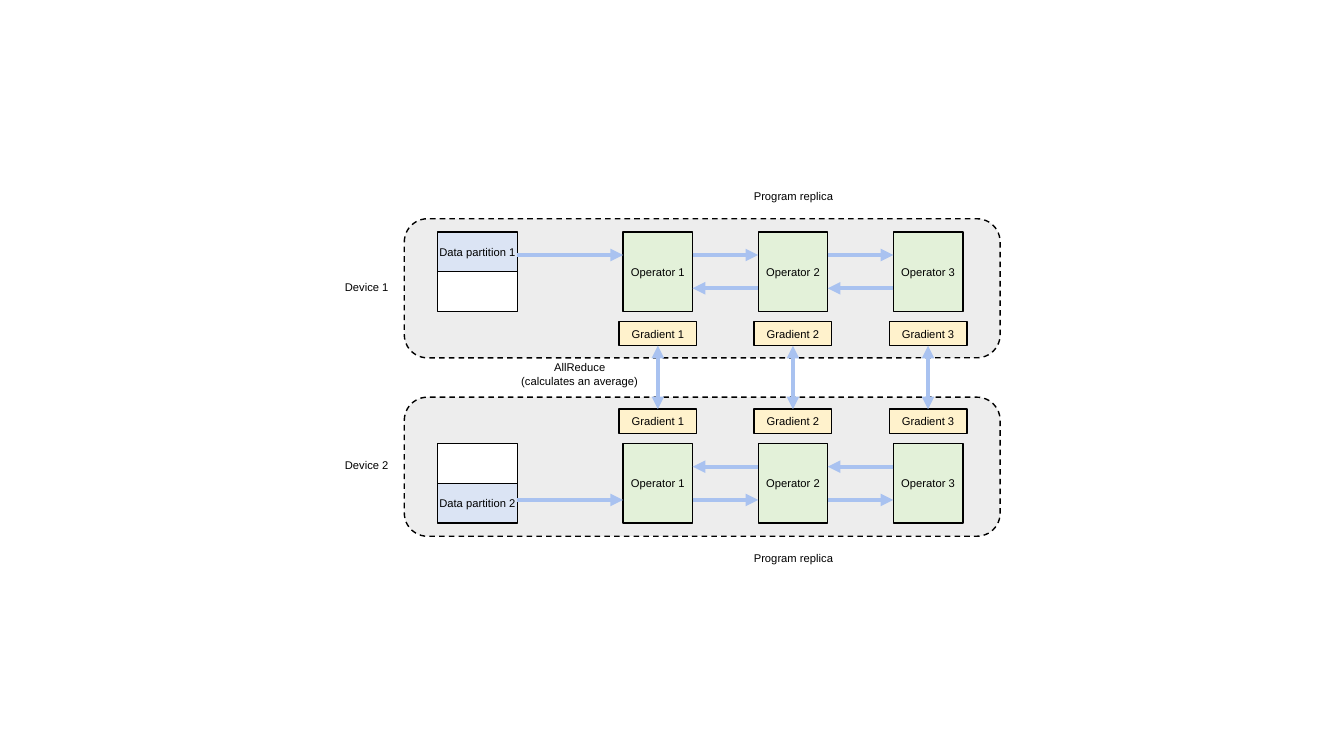
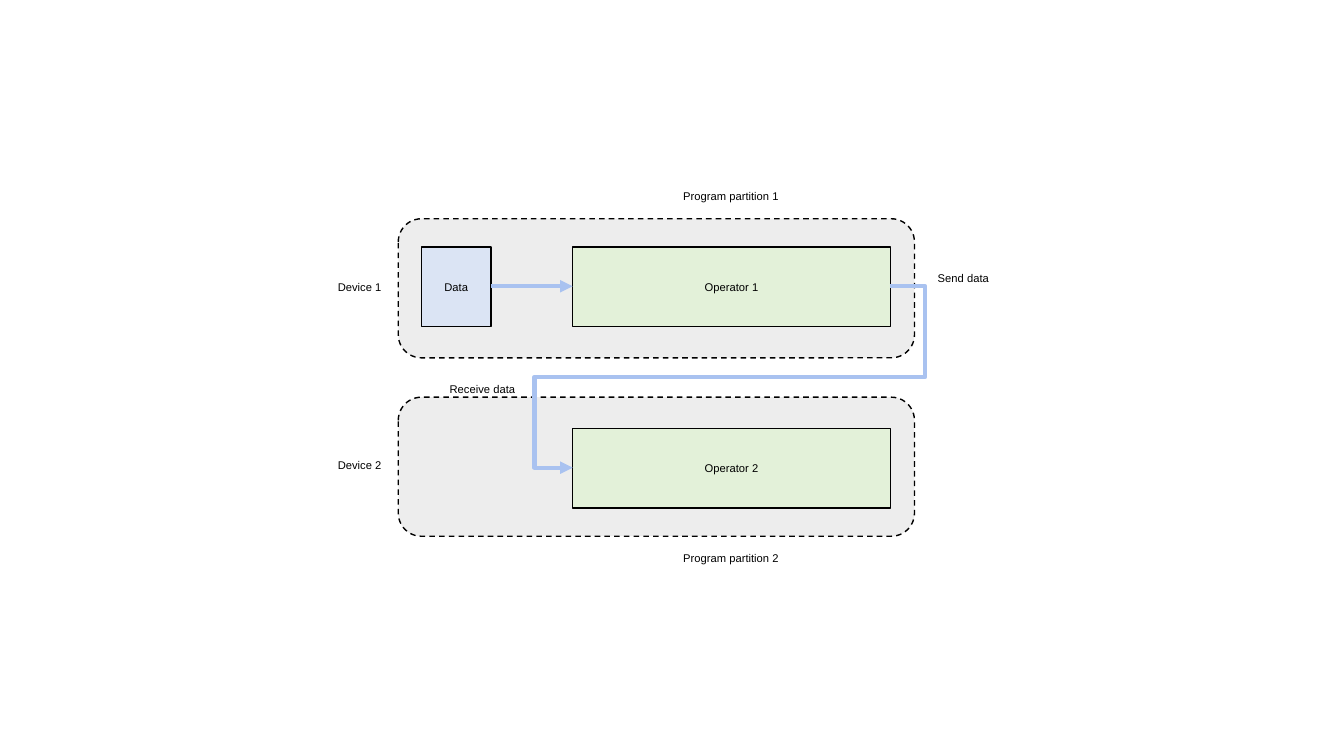
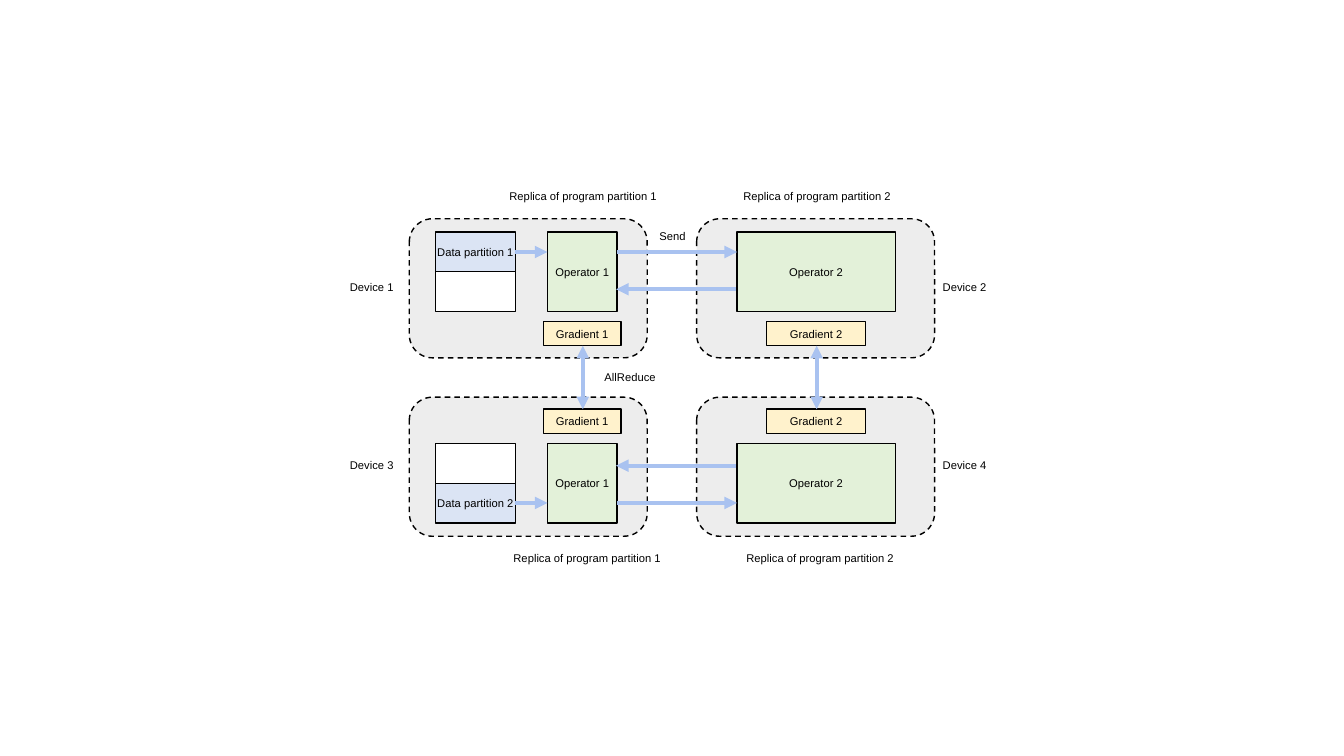
from lxml import etree
from pptx import Presentation
from pptx.dml.color import RGBColor
from pptx.enum.dml import MSO_LINE
from pptx.enum.shapes import MSO_CONNECTOR, MSO_SHAPE
from pptx.enum.text import MSO_ANCHOR, PP_ALIGN
from pptx.oxml.ns import qn
from pptx.util import Inches, Pt

STRAIGHT, ELBOW = MSO_CONNECTOR.STRAIGHT, MSO_CONNECTOR.ELBOW
RECTANGLE, ROUNDED = MSO_SHAPE.RECTANGLE, MSO_SHAPE.ROUNDED_RECTANGLE
LEFT, CENTER = PP_ALIGN.LEFT, PP_ALIGN.CENTER
TOP, MIDDLE = MSO_ANCHOR.TOP, MSO_ANCHOR.MIDDLE

COLORS = {
    "text": "000000", "outline": "000000", "arrow": "A9C2F0", "panel": "EDEDED",
    "operator": "E3F1D9", "data": "DBE4F4", "gradient": "FFF2CC", "empty": "FFFFFF",
}
FONT = {"name": "Arial", "size": Pt(8)}

# The lower devices mirror the upper ones: upper edge + lower edge = MIRROR.
MIRROR = 7.49
PANEL_TOP, PANEL_HEIGHT = 2.17, 1.38
BOX_TOP, BOX_WIDTH, BOX_HEIGHT = 2.3, 0.69, 0.79
GRADIENT_TOP, LINE_HEIGHT = 3.19, 0.24
GRADIENT_BOTTOM = GRADIENT_TOP + LINE_HEIGHT
DATA_WIDTH = 0.79
DEVICE_TOPS = (2.73, 4.5)
CAPTION_TOPS = (1.83, 5.42)


def operator_column(number, left, width=BOX_WIDTH, gradient_width=0.77):
    """Boxes of an operator with its gradient centred below."""
    gradient_left = left + (width - gradient_width) / 2
    operator, gradient = f"Operator {number}", f"Gradient {number}"
    return [
        ("operator", (operator, operator), left, BOX_TOP, width, BOX_HEIGHT),
        ("gradient", (gradient, gradient), gradient_left, GRADIENT_TOP, gradient_width, LINE_HEIGHT),
    ]


def data_column(left):
    """Boxes of a data set of which each device holds one half."""
    half = BOX_HEIGHT / 2
    return [
        ("data", ("Data partition 1", "Data partition 2"), left, BOX_TOP, DATA_WIDTH, half),
        ("empty", ("", ""), left, BOX_TOP + half, DATA_WIDTH, half),
    ]


def label_pair(texts, lefts, tops, width, align):
    return [(text, left, top, width, align) for text, left, top in zip(texts, lefts, tops)]


def device_labels(numbers, left):
    return label_pair([f"Device {number}" for number in numbers], (left, left), DEVICE_TOPS, 0.59, LEFT)


def caption_labels(texts, lefts, width):
    return label_pair(texts, lefts, CAPTION_TOPS, width, CENTER)


OPERATOR_LEFTS = [6.18 + 1.34 * step for step in range(3)]
OPERATOR_GAPS = [(left + BOX_WIDTH, right) for left, right in zip(OPERATOR_LEFTS, OPERATOR_LEFTS[1:])]

# panels: left, width
# boxes: colour, (upper text, lower text), left, top, width, height
# arrows: from x, to x, y; links: x of an arrow between two gradients
# labels: text, left, top, width, alignment
SLIDES = [
    {
        "panels": [(4.01, 5.91)],
        "boxes": data_column(4.34) + [
            box for number, left in enumerate(OPERATOR_LEFTS, 1) for box in operator_column(number, left)
        ],
        "arrows": [(4.34 + DATA_WIDTH, OPERATOR_LEFTS[0], 2.53)]
        + [(start, end, 2.53) for start, end in OPERATOR_GAPS]
        + [(end, start, 2.86) for start, end in OPERATOR_GAPS],
        "links": [left + BOX_WIDTH / 2 for left in OPERATOR_LEFTS],
        "labels": device_labels((1, 2), 3.42)
        + caption_labels(["Program replica"] * 2, (7.28, 7.28), 1.18)
        + [("AllReduce\n(calculates an average)", 5.13, 3.53, 1.24, CENTER)],
    },
    {
        "panels": [(3.95, 5.12)],
        "boxes": [
            ("data", ("Data", None), 4.18, 2.45, BOX_WIDTH, BOX_HEIGHT),
            ("operator", ("Operator 1", "Operator 2"), 5.68, 2.45, 3.15, BOX_HEIGHT),
        ],
        "labels": device_labels((1, 2), 3.35)
        + caption_labels(["Program partition 1", "Program partition 2"], (6.66, 6.66), 1.18)
        + [("Send data", 9.12, 2.64, 0.87, CENTER), ("Receive data", 4.18, 3.74, 1.21, CENTER)],
        "single_arrows": [(4.87, 5.68, 2.84)],
        "transfers": [((8.83, 2.84), (5.68, 4.64), (-0.11, 0.5, 1.12))],
    },
    {
        "panels": [(4.06, 2.36), (6.91, 2.36)],
        "boxes": data_column(4.32) + operator_column(1, 5.43) + operator_column(2, 7.31, 1.57, 0.98),
        "arrows": [(5.11, 5.43, 2.5), (6.12, 7.31, 2.5), (7.3, 6.11, 2.87)],
        "links": [5.78, 8.1],
        "labels": device_labels((1, 3), 3.47) + device_labels((2, 4), 9.35)
        + caption_labels(["Replica of program partition 1"] * 2, (5.02, 5.06), 1.53)
        + caption_labels(["Replica of program partition 2"] * 2, (7.34, 7.37), 1.53)
        + [("AllReduce", 5.83, 3.62, 0.84, CENTER), ("Send", 6.32, 2.23, 0.7, CENTER)],
    },
]


def color(name):
    return RGBColor.from_string(COLORS[name])


def write_text(shape, text, align, anchor):
    frame = shape.text_frame
    frame.text = text
    settings = {
        "word_wrap": True, "vertical_anchor": anchor, "margin_left": 0, "margin_right": 0,
        "margin_top": Inches(0.05), "margin_bottom": Inches(0.05),
    }
    for name, value in settings.items():
        setattr(frame, name, value)
    for paragraph in frame.paragraphs:
        paragraph.alignment = align
        for name, value in FONT.items():
            setattr(paragraph.font, name, value)
        paragraph.font.color.rgb = color("text")


def add_box(slide, kind, text, left, top, width, height, preset=RECTANGLE):
    shape = slide.shapes.add_shape(preset, *map(Inches, (left, top, width, height)))
    shape.shadow.inherit = False
    shape.fill.solid()
    shape.fill.fore_color.rgb = color(kind)
    shape.line.color.rgb = color("outline")
    shape.line.width = Pt(1)
    if text:
        write_text(shape, text, CENTER, MIDDLE)
    return shape


def add_label(slide, text, left, top, width, align):
    height = LINE_HEIGHT + 0.13 * text.count("\n")
    box = slide.shapes.add_textbox(*map(Inches, (left, top, width, height)))
    write_text(box, text, align, TOP)


def add_arrow(slide, start, end, ends=("tailEnd",), kind=STRAIGHT):
    connector = slide.shapes.add_connector(kind, *map(Inches, (*start, *end)))
    connector.line.color.rgb = color("arrow")
    connector.line.width = Pt(3)
    line = connector.line._get_or_add_ln()
    for name in ends:
        etree.SubElement(line, qn(f"a:{name}"), type="triangle")
    etree.SubElement(connector._element.spPr, qn("a:effectLst"))
    return connector


def add_transfer(slide, start, end, shares):
    """Arrow with five segments; the shares of its size place the bends."""
    connector = add_arrow(slide, start, end, kind=ELBOW)
    geometry = connector._element.spPr.find(qn("a:prstGeom"))
    geometry.set("prst", "bentConnector5")
    guides = geometry.find(qn("a:avLst"))
    for number, share in enumerate(shares, 1):
        etree.SubElement(guides, qn("a:gd"), name=f"adj{number}", fmla=f"val {round(share * 100000)}")


def build_slide(slide, content):
    for left, width in content["panels"]:
        for top in (PANEL_TOP, MIRROR - PANEL_TOP - PANEL_HEIGHT):
            panel = add_box(slide, "panel", "", left, top, width, PANEL_HEIGHT, ROUNDED)
            panel.line.dash_style = MSO_LINE.DASH
    for kind, texts, left, top, width, height in content["boxes"]:
        for text, box_top in zip(texts, (top, MIRROR - top - height)):
            if text is not None:
                add_box(slide, kind, text, left, box_top, width, height)
    for start, end, y in content.get("arrows", []):
        for arrow_y in (y, MIRROR - y):
            add_arrow(slide, (start, arrow_y), (end, arrow_y))
    for start, end, y in content.get("single_arrows", []):
        add_arrow(slide, (start, y), (end, y))
    for transfer in content.get("transfers", []):
        add_transfer(slide, *transfer)
    for x in content.get("links", []):
        add_arrow(slide, (x, MIRROR - GRADIENT_BOTTOM), (x, GRADIENT_BOTTOM), ("headEnd", "tailEnd"))
    for label in content["labels"]:
        add_label(slide, *label)


def main():
    presentation = Presentation()
    presentation.slide_width, presentation.slide_height = Inches(13.33), Inches(7.5)
    blank_layout = presentation.slide_layouts[6]
    for content in SLIDES:
        build_slide(presentation.slides.add_slide(blank_layout), content)
    presentation.save("out.pptx")


if __name__ == "__main__":
    main()
